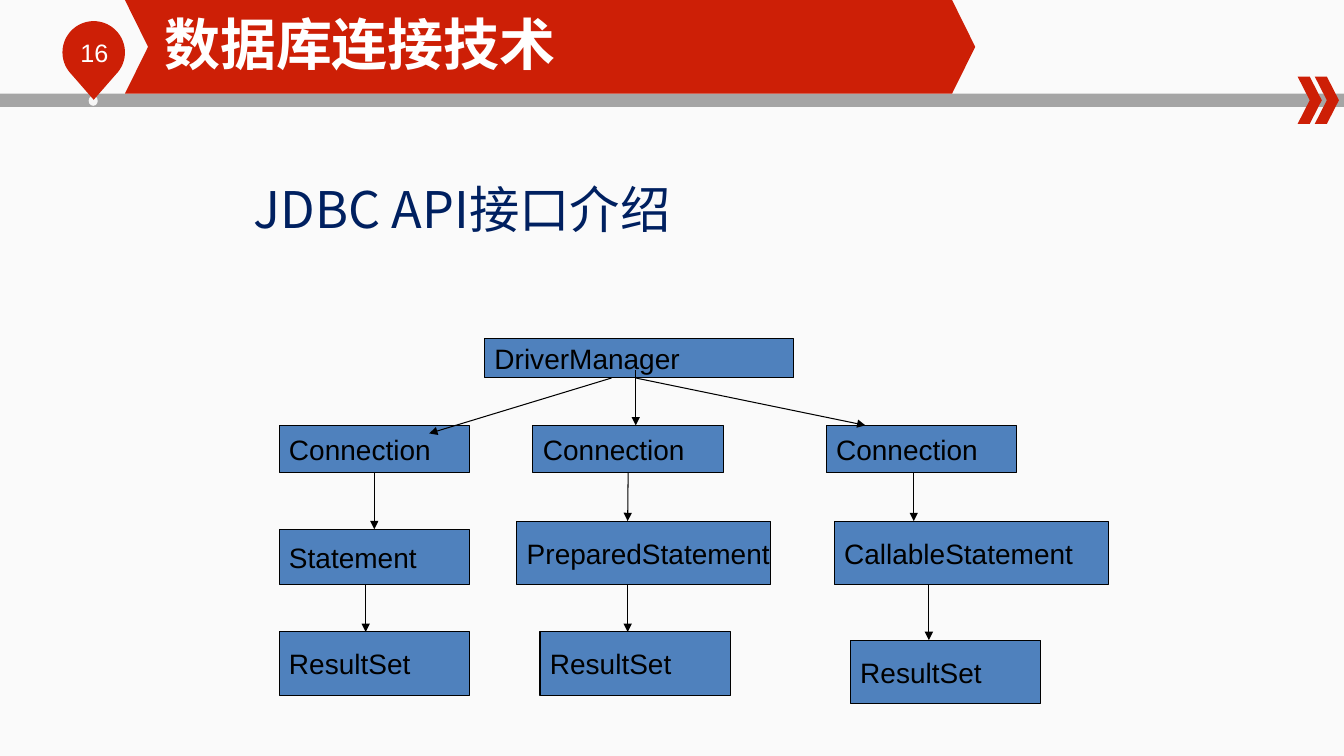
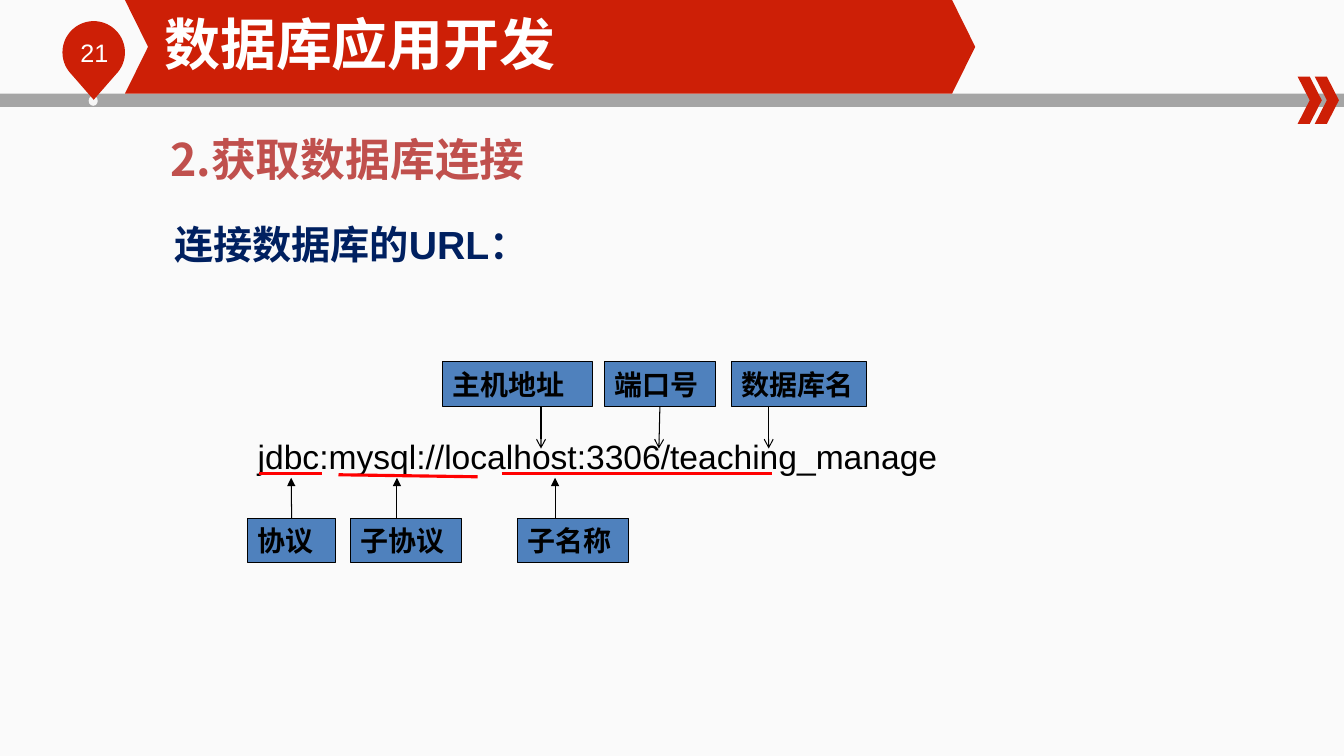
import math
from dataclasses import dataclass

from lxml import etree
from pptx import Presentation
from pptx import util as u
from pptx.dml.color import RGBColor
from pptx.enum import shapes, text
from pptx.oxml.ns import qn


@dataclass(frozen=True)
class Theme:
    red: str = "CD1F06"
    grey: str = "A5A5A5"
    dot: str = "F6F6F6"
    white: str = "FFFFFF"
    black: str = "000000"
    blue: str = "4F81BD"
    navy: str = "002060"
    brick: str = "C0504D"
    underline: str = "FF0000"
    backdrop: tuple = ("FAFAFA", "FCFCFC")
    latin: str = "Arial"
    chinese: str = "Noto Sans CJK SC"
    title: int = 40
    heading: int = 36
    section: int = 32
    subheading: int = 28
    address: int = 24
    label: int = 20
    number: int = 18
    thin: float = 0.75
    thick: float = 2.25


@dataclass(frozen=True)
class Box:
    left: float
    top: float
    width: float
    height: float

    def inner(self, left, top, width, height):
        return Box(self.left + left, self.top + top, width, height)

    def point(self, x, y):
        return self.left + x, self.top + y

    @property
    def bottom(self):
        return self.top + self.height

    @property
    def center(self):
        return self.left + self.width / 2

    @property
    def lengths(self):
        return [u.Inches(v) for v in (self.left, self.top, self.width, self.height)]


THEME = Theme()
SLIDE = Box(0, 0, 13.34, 7.5)
MARGINS = (0.1, 0.05, 0.1, 0.05)
BOTTOM, TOP = 2, 0


def color(value):
    return RGBColor.from_string(value)


def write(shape, words, size, ink=THEME.black, font=THEME.latin, bold=False,
          anchor=text.MSO_ANCHOR.TOP, margins=MARGINS, spacing=None):
    frame = shape.text_frame
    frame.word_wrap = True
    frame.auto_size = text.MSO_AUTO_SIZE.NONE
    frame.vertical_anchor = anchor
    (frame.margin_left, frame.margin_top,
     frame.margin_right, frame.margin_bottom) = [u.Inches(m) for m in margins]
    para = frame.paragraphs[0]
    para.alignment = text.PP_ALIGN.LEFT
    if spacing:
        para.line_spacing = spacing
    span = para.add_run()
    span.text = words
    span.font.name = font
    span.font.size = u.Pt(size)
    span.font.bold = bold
    span.font.color.rgb = color(ink)
    latin = span.font._element.find(qn("a:latin"))
    east = etree.Element(qn("a:ea"), typeface=THEME.chinese)
    latin.addnext(east)


def add_text(page, box, words, size, **style):
    write(page.shapes.add_textbox(*box.lengths), words, size, **style)


def paint(shape, fill, outline=None):
    shape.shadow.inherit = False
    shape.fill.solid()
    shape.fill.fore_color.rgb = color(fill)
    if outline:
        shape.line.color.rgb = color(outline)
        shape.line.width = u.Pt(THEME.thin)
    else:
        shape.line.fill.background()


def add_preset(page, kind, box, fill, outline=None):
    shape = page.shapes.add_shape(kind, *box.lengths)
    paint(shape, fill, outline)
    return shape


def add_label(page, box, words, bold=False):
    shape = add_preset(page, shapes.MSO_SHAPE.RECTANGLE, box, THEME.blue, THEME.black)
    write(shape, words, THEME.label, bold=bold, anchor=text.MSO_ANCHOR.MIDDLE,
          margins=(0.1, 0.05, 0, 0.05))
    return shape


def add_line(page, start, end, arrow=None, ink=THEME.black, width=THEME.thin):
    line = page.shapes.add_connector(
        shapes.MSO_CONNECTOR.STRAIGHT, *[u.Inches(v) for v in (*start, *end)])
    line.line.color.rgb = color(ink)
    line.line.width = u.Pt(width)
    properties = line._element.spPr
    if arrow:
        etree.SubElement(properties.find(qn("a:ln")), qn("a:tailEnd"), type=arrow)
    etree.SubElement(properties, qn("a:effectLst"))
    return line


def is_middle(box, x):
    return abs(box.center - x) < 0.025


def add_chevron(page, box, notch):
    shape = add_preset(page, shapes.MSO_SHAPE.CHEVRON, box, THEME.red)
    shape.adjustments[0] = notch / min(box.width, box.height)


def draw_pin(page, box, number):
    radius = box.width / 2
    outline = [(box.center, box.bottom)]
    for degrees in range(135, 406, 5):
        angle = math.radians(degrees)
        outline.append((box.center + radius * math.cos(angle),
                        box.top + radius + radius * math.sin(angle)))
    points = [(u.Inches(x), u.Inches(y)) for x, y in outline]
    builder = page.shapes.build_freeform(*points[0], scale=1.0)
    builder.add_line_segments(points[1:], close=True)
    paint(builder.convert_to_shape(), THEME.red)
    add_text(page, box.inner(0.08, 0.11, 0.76, 0.4), str(number), THEME.number,
             ink=THEME.white)


def draw_frame(page, box, number, title):
    fill = page.background.fill
    fill.gradient()
    fill.gradient_angle = 270
    for stop, shade in zip(fill.gradient_stops, THEME.backdrop):
        stop.color.rgb = color(shade)
    add_preset(page, shapes.MSO_SHAPE.RECTANGLE,
               box.inner(0, 0.93, box.width, 0.13), THEME.grey)
    add_preset(page, shapes.MSO_SHAPE.OVAL, box.inner(0.88, 0.95, 0.09, 0.1), THEME.dot)
    draw_pin(page, box.inner(0.62, 0.21, 0.62, 0.78), number)
    for left in (12.88, 13.05):
        add_chevron(page, box.inner(left, 0.76, 0.24, 0.47), 0.12)
    add_chevron(page, box.inner(1.24, 0, 8.44, 0.93), 0.23)
    heading = page.shapes.title
    page.shapes._spTree.append(heading._element)
    place = box.inner(1.63, 0.09, 6.61, 0.67)
    heading.left, heading.top, heading.width, heading.height = place.lengths
    write(heading, title, THEME.title, ink=THEME.white, font=THEME.chinese, bold=True,
          anchor=text.MSO_ANCHOR.MIDDLE, margins=(0, 0, 0, 0))


def draw_api_column(page, area, nodes, arrows):
    boxes = [area.inner(*place) for name, *place in nodes]
    labels = [add_label(page, box, node[0]) for box, node in zip(boxes, nodes)]
    for index, offset in enumerate(arrows):
        upper, lower = boxes[index:index + 2]
        x = area.left + offset
        line = add_line(page, (x, upper.bottom), (x, lower.top), "triangle")
        if is_middle(upper, x):
            line.begin_connect(labels[index], BOTTOM)
        if is_middle(lower, x):
            line.end_connect(labels[index + 1], TOP)


def draw_api_tree(page, area):
    add_label(page, area.inner(2.04, 0, 3.07, 0.39), "DriverManager")
    columns = [
        ([("Connection", 0, 0.86, 1.89, 0.47),
          ("Statement", 0, 1.89, 1.89, 0.55),
          ("ResultSet", 0, 2.91, 1.89, 0.63)], (0.94, 0.86)),
        ([("Connection", 2.52, 0.86, 1.89, 0.47),
          ("PreparedStatement", 2.36, 1.81, 2.52, 0.63),
          ("ResultSet", 2.59, 2.91, 1.89, 0.63)], (3.46, 3.46)),
        ([("Connection", 5.43, 0.86, 1.89, 0.47),
          ("CallableStatement", 5.51, 1.81, 2.72, 0.63),
          ("ResultSet", 5.67, 2.99, 1.89, 0.63)], (6.3, 6.45)),
    ]
    for nodes, arrows in columns:
        draw_api_column(page, area, nodes, arrows)
    for start, end in [((3.3, 0.39), (1.49, 0.94)),
                       ((3.54, 0.31), (3.54, 0.86)),
                       ((3.54, 0.39), (5.82, 0.86))]:
        add_line(page, area.point(*start), area.point(*end), "triangle")


def draw_callouts(page, area, top, callouts, side, tip, arrow):
    for words, left, width, offset in callouts:
        box = area.inner(left, top, width, 0.44)
        label = add_label(page, box, words, bold=True)
        x = area.left + offset
        edge = box.bottom if side == BOTTOM else box.top
        line = add_line(page, (x, edge), (x, area.top + tip), arrow)
        if is_middle(box, x):
            line.begin_connect(label, side)


def draw_url_diagram(page, area):
    add_text(page, area.inner(0, 0.69, 7.6, 0.5),
             "jdbc:mysql://localhost:3306/teaching_manage", THEME.address)
    draw_callouts(page, area, 0, [("主机地址", 1.93, 1.49, 2.91),
                                  ("端口号", 3.54, 1.1, 4.08),
                                  ("数据库名", 4.8, 1.34, 5.17)], BOTTOM, 0.86, "arrow")
    draw_callouts(page, area, 1.55, [("协议", 0, 0.87, 0.43),
                                     ("子协议", 1.02, 1.1, 1.48),
                                     ("子名称", 2.68, 1.1, 3.05)], TOP, 1.15, "triangle")
    for start, end in [((0.11, 1.11), (0.74, 1.11)),
                       ((0.9, 1.12), (2.28, 1.14)),
                       ((2.52, 1.11), (5.2, 1.11))]:
        add_line(page, area.point(*start), area.point(*end),
                 ink=THEME.underline, width=THEME.thick)


def build_api_slide(page, box):
    draw_frame(page, box, 16, "数据库连接技术")
    draw_api_tree(page, box.inner(2.77, 3.36, 8.23, 3.62))
    add_text(page, box.inner(2.42, 1.72, 8.43, 0.7), "JDBC API接口介绍", THEME.heading,
             ink=THEME.navy, font=THEME.chinese)


def build_url_slide(page, box):
    draw_frame(page, box, 21, "数据库应用开发")
    draw_url_diagram(page, box.inner(2.46, 3.59, 7.6, 1.99))
    add_text(page, box.inner(1.59, 1.15, 3.96, 0.74), "2.获取数据库连接", THEME.section,
             ink=THEME.brick, font=THEME.chinese, bold=True, spacing=1.2)
    add_text(page, box.inner(1.63, 2.14, 8.43, 0.57), "连接数据库的URL：",
             THEME.subheading, ink=THEME.navy, bold=True)


def main():
    deck = Presentation()
    deck.slide_width, deck.slide_height = SLIDE.lengths[2:]
    title_only = deck.slide_layouts[5]
    for build in (build_api_slide, build_url_slide):
        build(deck.slides.add_slide(title_only), SLIDE)
    deck.save("out.pptx")


if __name__ == "__main__":
    main()
